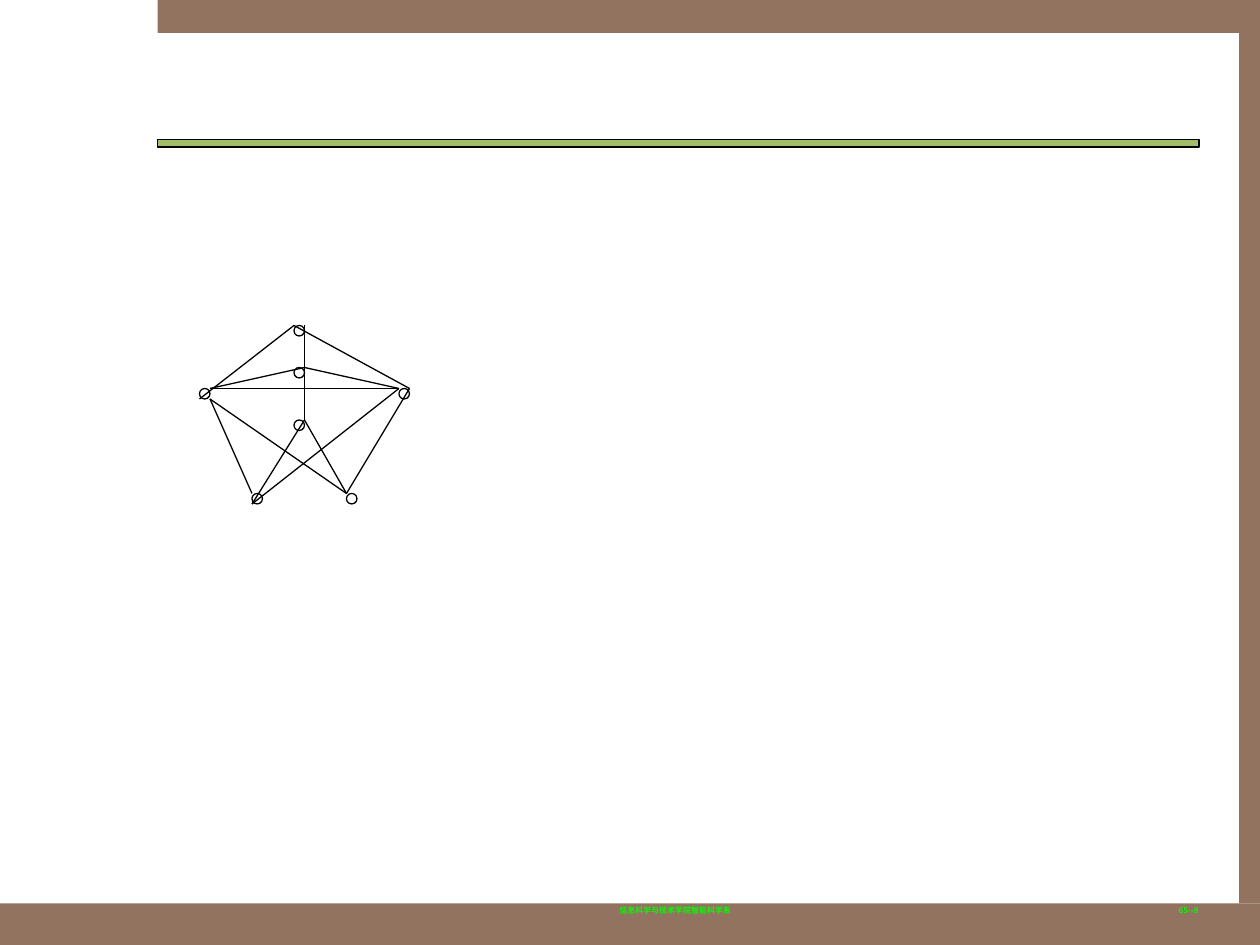
from dataclasses import dataclass
from typing import NamedTuple

from lxml import etree
from pptx import Presentation
from pptx.dml.color import RGBColor
from pptx.enum.shapes import MSO_CONNECTOR, MSO_SHAPE
from pptx.enum.text import PP_ALIGN
from pptx.oxml.ns import qn
from pptx.shapes.autoshape import Shape
from pptx.shapes.shapetree import SlideShapes
from pptx.util import Pt

RECT = MSO_SHAPE.RECTANGLE
OVAL = MSO_SHAPE.OVAL
LINE = MSO_CONNECTOR.STRAIGHT
MID = PP_ALIGN.CENTER
RIGHT = PP_ALIGN.RIGHT


@dataclass(frozen=True)
class Theme:
    frame: RGBColor = RGBColor(0x91, 0x73, 0x5F)
    rule: RGBColor = RGBColor(0xA1, 0xBD, 0x69)
    ink: RGBColor = RGBColor(0, 0, 0)
    note: RGBColor = RGBColor(0, 0xFF, 0)
    font: str = "Noto Sans CJK SC"
    size: float = 4.5
    line: float = 0.75
    node: float = 6


class Box(NamedTuple):
    left: float
    top: float
    width: float
    height: float


class Spot(NamedTuple):
    node: str
    corner: str


class Edge(NamedTuple):
    start: Spot
    end: Spot


class Note(NamedTuple):
    box: Box
    text: str
    align: PP_ALIGN


THEME = Theme()

FRAME = [
    Box(0, 516.3, 720, 23.7),
    Box(90, 0, 630, 18.8),
    Box(708, 18, 12, 498.3),
]
RULE = Box(90, 79.8, 595.2, 4.2)

NOTES = [
    Note(Box(229.8, 514.8, 312, 13), "信息科学与技术学院智能科学系", MID),
    Note(Box(542, 514.8, 150, 13), "65--8", RIGHT),
]

NODES = {
    "top": (168, 186),
    "west": (114, 222),
    "mid": (168, 210),
    "east": (228, 222),
    "left": (144, 282),
    "low": (168, 240),
    "right": (198, 282),
}

EDGES = [
    Edge(Spot("top", "ne"), Spot("mid", "ne")),
    Edge(Spot("mid", "ne"), Spot("low", "ne")),
    Edge(Spot("low", "ne"), Spot("right", "nw")),
    Edge(Spot("top", "nw"), Spot("east", "ne")),
    Edge(Spot("top", "nw"), Spot("west", "sw")),
    Edge(Spot("mid", "ne"), Spot("east", "nw")),
    Edge(Spot("mid", "ne"), Spot("west", "ne")),
    Edge(Spot("west", "se"), Spot("right", "nw")),
    Edge(Spot("east", "nw"), Spot("left", "sw")),
    Edge(Spot("west", "se"), Spot("left", "nw")),
    Edge(Spot("low", "ne"), Spot("left", "sw")),
    Edge(Spot("east", "ne"), Spot("right", "nw")),
    Edge(Spot("west", "ne"), Spot("east", "nw")),
]


def add_form(shapes: SlideShapes, kind: MSO_SHAPE, box: Box) -> Shape:
    form = shapes.add_shape(kind, *map(Pt, box))
    form.shadow.inherit = False
    return form


def draw_bar(shapes: SlideShapes, box: Box, fill: RGBColor) -> Shape:
    bar = add_form(shapes, RECT, box)
    bar.fill.solid()
    bar.fill.fore_color.rgb = fill
    bar.line.fill.background()
    return bar


def ink_line(form) -> None:
    form.line.color.rgb = THEME.ink
    form.line.width = Pt(THEME.line)


def draw_node(shapes: SlideShapes, left: float, top: float) -> None:
    node = add_form(shapes, OVAL, Box(left, top, THEME.node, THEME.node))
    node.fill.background()
    ink_line(node)


def find_spot(spot: Spot) -> tuple[float, float]:
    left, top = NODES[spot.node]
    return (
        left + THEME.node * ("e" in spot.corner),
        top + THEME.node * ("s" in spot.corner),
    )


def draw_edge(shapes: SlideShapes, edge: Edge) -> None:
    ends = find_spot(edge.start) + find_spot(edge.end)
    link = shapes.add_connector(LINE, *map(Pt, ends))
    ink_line(link)
    etree.SubElement(link._element.spPr, qn("a:effectLst"))


def draw_note(shapes: SlideShapes, note: Note) -> None:
    frame = shapes.add_textbox(*map(Pt, note.box)).text_frame
    frame.word_wrap = True
    para = frame.paragraphs[0]
    para.alignment = note.align
    para.line_spacing = 0.8
    run = para.add_run()
    run.text = note.text
    font = run.font
    font.name = THEME.font
    font.size = Pt(THEME.size)
    font.bold = True
    font.color.rgb = THEME.note
    east = etree.SubElement(run._r.get_or_add_rPr(), qn("a:ea"))
    east.set("typeface", THEME.font)


def main() -> None:
    deck = Presentation()
    deck.slide_width, deck.slide_height = Pt(720), Pt(540)
    shapes = deck.slides.add_slide(deck.slide_layouts[6]).shapes
    for box in FRAME:
        draw_bar(shapes, box, THEME.frame)
    ink_line(draw_bar(shapes, RULE, THEME.rule))
    for note in NOTES:
        draw_note(shapes, note)
    for left, top in NODES.values():
        draw_node(shapes, left, top)
    for edge in EDGES:
        draw_edge(shapes, edge)
    deck.save("out.pptx")


if __name__ == "__main__":
    main()
